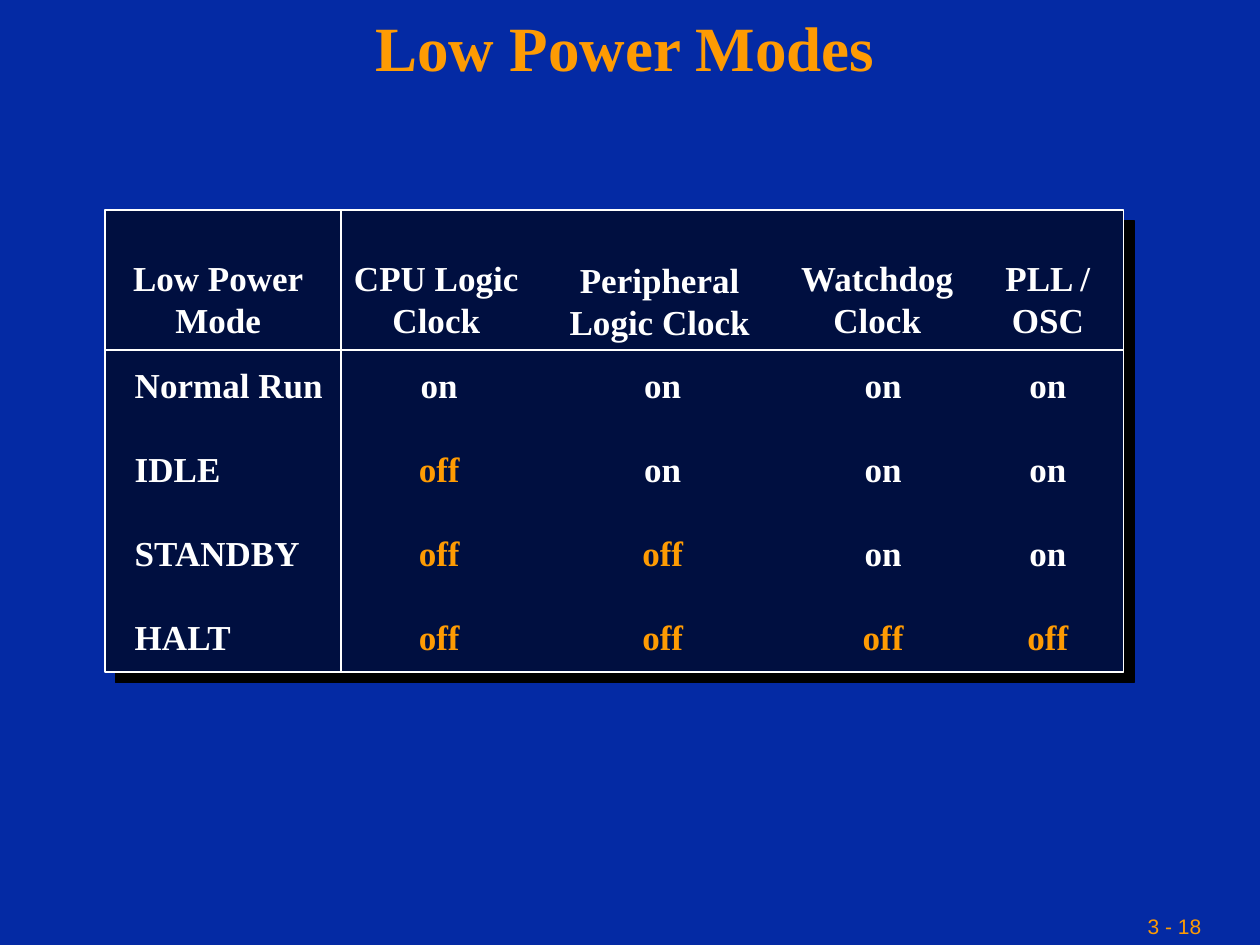
from pptx import Presentation
from pptx.dml.color import RGBColor
from pptx.enum import shapes, text
from pptx.oxml import parse_xml
from pptx.oxml.ns import nsdecls
from pptx.util import Pt

TITLE = "Low Power Modes"
PAGE = "3 - 18"
HEADINGS = ["Low Power\nMode", "CPU Logic\nClock", "Peripheral\nLogic Clock", "Watchdog\nClock", "PLL /\nOSC"]
MODES = [
    ("Normal Run", "on", "on", "on", "on"),
    ("IDLE", "off", "on", "on", "on"),
    ("STANDBY", "off", "off", "on", "on"),
    ("HALT", "off", "off", "off", "off"),
]

THEME = {
    "background": "042AA4", "panel": "000F40", "accent": "FE9B03",
    "ink": "FFFFFF", "shadow": "000000",
    "serif": "Times New Roman", "sans": "Arial",
    "title": 36, "body": 20, "page": 12, "rule": 1,
}

LEFT, TOP = 60, 120
COLUMNS = [135, 112, 140, 112, 83]
HEADER, PITCH, LAST = 80, 48, 40
ROWS = [HEADER] + [PITCH] * (len(MODES) - 1) + [LAST]
WIDTH, HEIGHT = sum(COLUMNS), sum(ROWS)
LEADING = 24
HEADING_RIGHT = [5.6, 3.4, 0, 3.4, 3.4]
HEADING_BOTTOM = [5, 5, 3.8, 5, 5]
ENTRY_LEFT = [17, 0, 3.4, 3.4, 0]
ENTRY_RIGHT = [0, 0, 0, 0, 3.4]
ENTRY_TOP = 8


def color(key):
    return RGBColor.from_string(THEME[key])


def style(frame, size, ink="ink", font="serif", bold=True, align=text.PP_ALIGN.CENTER, spacing=None):
    for paragraph in frame.paragraphs:
        paragraph.alignment = align
        paragraph.line_spacing = spacing
        for run in paragraph.runs:
            run.font.name = THEME[font]
            run.font.size = Pt(THEME[size])
            run.font.bold = bold
            run.font.color.rgb = color(ink)


def add_label(slide, words, box, wrap=True, **look):
    frame = slide.shapes.add_textbox(*map(Pt, box)).text_frame
    frame.word_wrap = wrap
    frame.text = words
    style(frame, **look)


def add_panel(slide):
    panel = slide.shapes.add_shape(
        shapes.MSO_SHAPE.RECTANGLE, Pt(LEFT), Pt(TOP), Pt(WIDTH), Pt(HEIGHT))
    panel.fill.solid()
    panel.fill.fore_color.rgb = color("panel")
    panel.line.color.rgb = color("ink")
    panel.line.width = Pt(THEME["rule"])
    panel.shadow.inherit = False
    effects = panel._element.spPr.find("{*}effectLst")
    effects.append(parse_xml(
        f'<a:outerShdw {nsdecls("a")} dist="{Pt(8.5)}" dir="2700000" algn="ctr" rotWithShape="0">'
        f'<a:srgbClr val="{THEME["shadow"]}"/></a:outerShdw>'))


def add_rule(slide, *ends):
    rule = slide.shapes.add_connector(shapes.MSO_CONNECTOR.STRAIGHT, *map(Pt, ends))
    rule.line.color.rgb = color("ink")
    rule.line.width = Pt(THEME["rule"])
    rule._element.spPr.append(parse_xml(f'<a:effectLst {nsdecls("a")}/>'))


def clear_borders(cell):
    properties = cell._tc.get_or_add_tcPr()
    for position, side in enumerate(("lnL", "lnR", "lnT", "lnB")):
        properties.insert(position, parse_xml(f'<a:{side} {nsdecls("a")}><a:noFill/></a:{side}>'))


def fill_cell(cell, words, row, column):
    heading = row == 0
    cell.text = words
    cell.fill.background()
    cell.margin_left = Pt(0 if heading else ENTRY_LEFT[column])
    cell.margin_right = Pt((HEADING_RIGHT if heading else ENTRY_RIGHT)[column])
    cell.margin_top = Pt(0 if heading else ENTRY_TOP)
    cell.margin_bottom = Pt(HEADING_BOTTOM[column] if heading else 0)
    cell.vertical_anchor = text.MSO_ANCHOR.BOTTOM if heading else text.MSO_ANCHOR.TOP
    style(cell.text_frame, "body", ink="accent" if words == "off" else "ink", spacing=Pt(LEADING),
          align=text.PP_ALIGN.LEFT if column == 0 and not heading else text.PP_ALIGN.CENTER)
    clear_borders(cell)


def add_modes(slide):
    modes = slide.shapes.add_table(
        len(ROWS), len(COLUMNS), Pt(LEFT), Pt(TOP), Pt(WIDTH), Pt(HEIGHT)).table
    modes.first_row = modes.horz_banding = False
    for column, width in zip(modes.columns, COLUMNS):
        column.width = Pt(width)
    for row, height in zip(modes.rows, ROWS):
        row.height = Pt(height)
    for row, entries in enumerate([HEADINGS] + MODES):
        for column, words in enumerate(entries):
            fill_cell(modes.cell(row, column), words, row, column)


def main():
    deck = Presentation()
    deck.slide_width, deck.slide_height = Pt(720), Pt(540)
    slide = deck.slides.add_slide(deck.slide_layouts[6])
    slide.background.fill.solid()
    slide.background.fill.fore_color.rgb = color("background")
    add_label(slide, PAGE, (648.75, 518.4, 86.4, 21.6), wrap=False, size="page",
              ink="accent", font="sans", bold=False, align=text.PP_ALIGN.LEFT)
    add_panel(slide)
    add_label(slide, TITLE, (0, 6, 714, 60), size="title", ink="accent", spacing=0.9)
    add_modes(slide)
    header_base, name_edge = TOP + HEADER, LEFT + COLUMNS[0]
    add_rule(slide, LEFT, header_base, LEFT + WIDTH, header_base)
    add_rule(slide, name_edge, TOP, name_edge, TOP + HEIGHT)
    deck.save("out.pptx")


if __name__ == "__main__":
    main()
